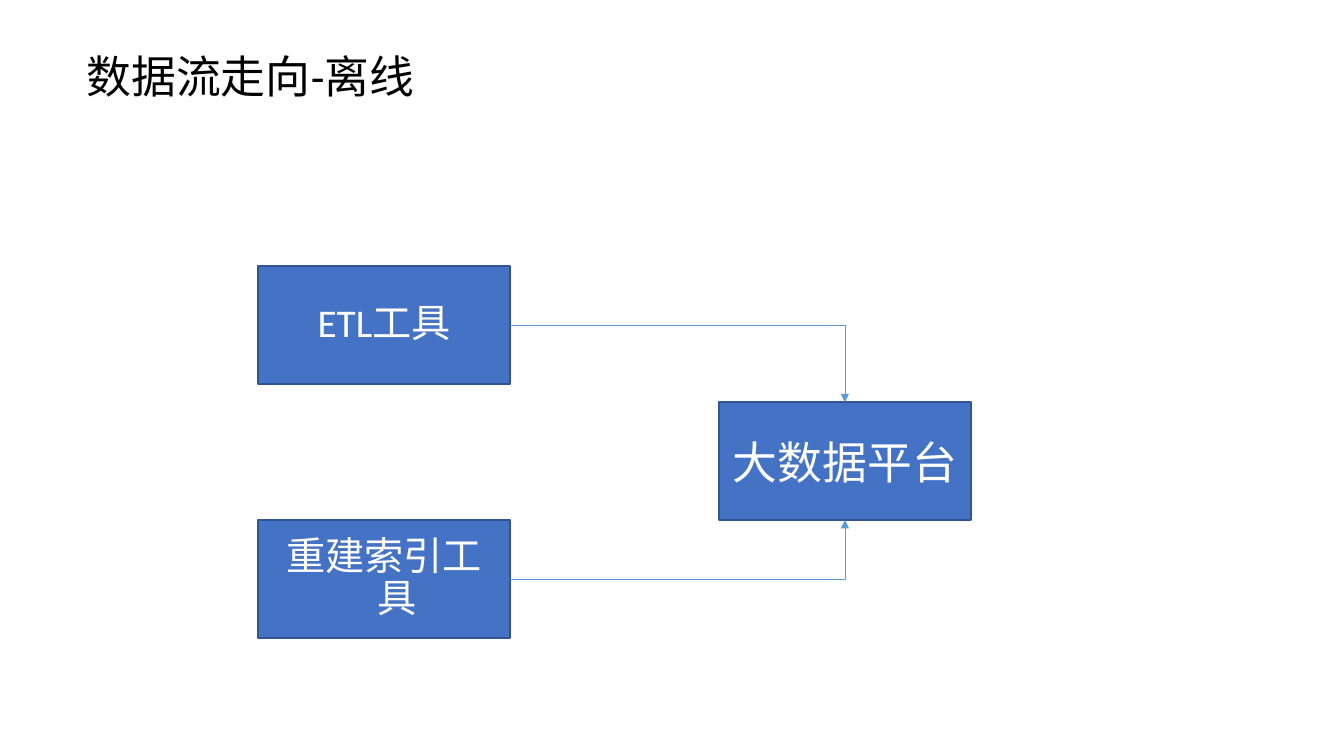
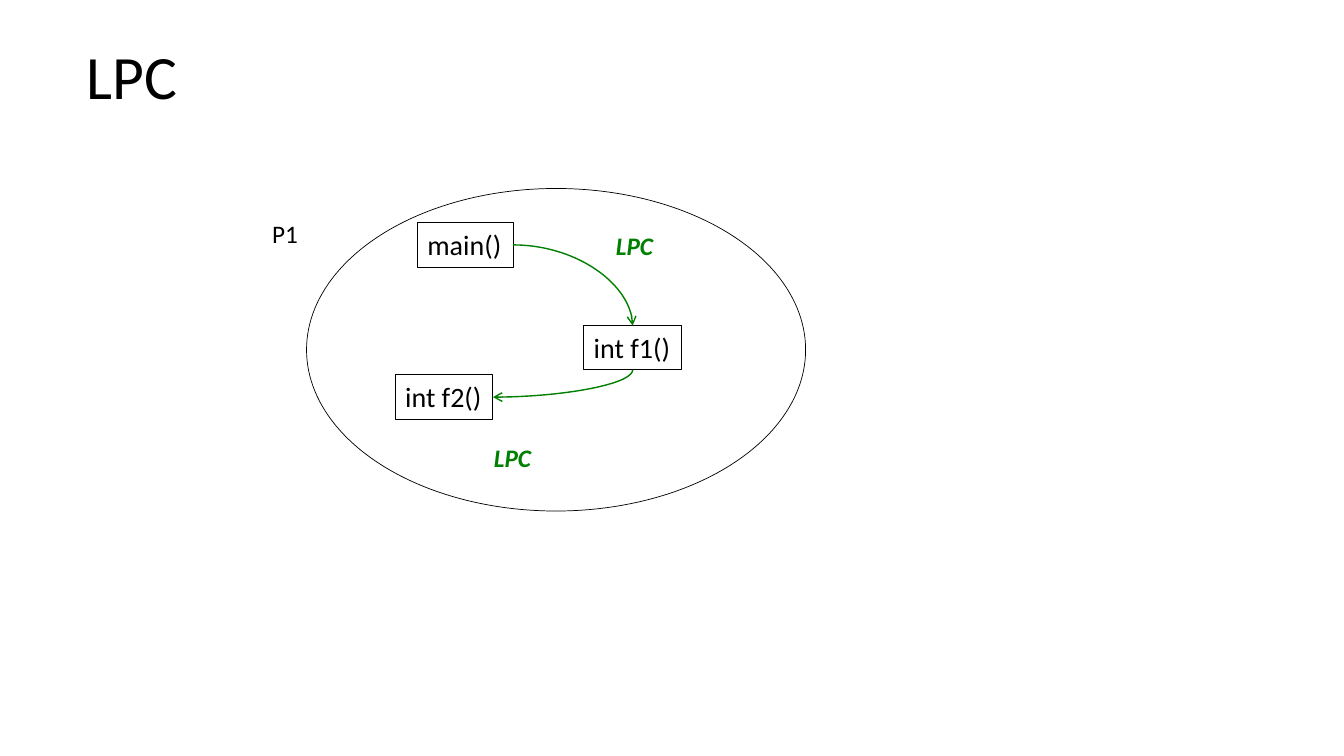
from lxml import etree
from pptx import Presentation
from pptx.dml.color import RGBColor
from pptx.enum.shapes import MSO_CONNECTOR, MSO_SHAPE
from pptx.enum.text import MSO_ANCHOR, MSO_AUTO_SIZE, PP_ALIGN
from pptx.oxml.ns import qn
from pptx.util import Inches, Pt

FONT = "Calibri"
BLACK, WHITE = "000000", "FFFFFF"
BLUE, DARK_BLUE, LIGHT_BLUE = "4472C4", "325491", "5B9BD5"
GREEN = "008000"
RIGHT, TOP, BOTTOM = 3, 0, 2


def write(shape, text, size, color=BLACK, bold=False, italic=False, align=PP_ALIGN.LEFT,
          anchor=MSO_ANCHOR.TOP, wrap=True, spacing=1.0, hanging=0):
    frame = shape.text_frame
    frame.word_wrap = wrap
    frame.auto_size = MSO_AUTO_SIZE.NONE if wrap else MSO_AUTO_SIZE.SHAPE_TO_FIT_TEXT
    frame.vertical_anchor = anchor
    paragraph = frame.paragraphs[0]
    paragraph.alignment = align
    paragraph.line_spacing = spacing
    if hanging:
        properties = paragraph._p.get_or_add_pPr()
        properties.set("marL", str(Inches(hanging)))
        properties.set("indent", str(-Inches(hanging)))
    run = paragraph.add_run()
    run.text = text
    run.font.name = FONT
    run.font.size = Pt(size)
    run.font.bold = bold
    run.font.italic = italic
    run.font.color.rgb = RGBColor.from_string(color)


def connect(shapes, kind, preset, start, start_site, end, end_site, color, width, arrowhead):
    """Join two shapes with a one-turn arrow that leaves from the right or the bottom."""
    connector = shapes.add_connector(kind, 0, 0, 0, 0)
    connector.begin_connect(start, start_site)
    connector.end_connect(end, end_site)
    properties = connector._element.spPr
    properties.find(qn("a:prstGeom")).set("prst", preset)
    if start_site == BOTTOM:
        # The preset leaves sideways, so a downward start is a quarter turn about the centre.
        left, top, across, down = connector.left, connector.top, connector.width, connector.height
        connector.left = left + (across - down) // 2
        connector.top = top + (down - across) // 2
        connector.width, connector.height = down, across
        transform = properties.find(qn("a:xfrm"))
        transform.attrib.pop("flipH", None)
        transform.set("rot", str(90 * 60000))
    connector.line.color.rgb = RGBColor.from_string(color)
    connector.line.width = Pt(width)
    etree.SubElement(properties.find(qn("a:ln")), qn("a:tailEnd"), type=arrowhead)
    etree.SubElement(properties, qn("a:effectLst"))


presentation = Presentation()
presentation.slide_width = Inches(13.33)
presentation.slide_height = Inches(7.5)

slides = []
for title, size in [("数据流走向-离线", 32), ("LPC", 44)]:
    slide = presentation.slides.add_slide(presentation.slide_layouts[6])
    title_box = slide.shapes.add_textbox(Inches(0.76), Inches(0.28), Inches(11.5), Inches(1.01))
    write(title_box, title, size, anchor=MSO_ANCHOR.MIDDLE, spacing=0.9)
    slides.append(slide)
offline_slide, call_slide = slides

# Offline data flow: two tools feed the platform
blocks = []
for text, left, top, size, spacing, hanging in [
    ("ETL工具", 2.56, 2.64, 28, 0.9, 0.25),
    ("大数据平台", 7.13, 3.99, 32, 1.0, 0.38),
    ("重建索引工具", 2.56, 5.16, 28, 0.9, 0.25),
]:
    block = offline_slide.shapes.add_shape(
        MSO_SHAPE.RECTANGLE, Inches(left), Inches(top), Inches(2.5), Inches(1.17))
    block.shadow.inherit = False
    block.fill.solid()
    block.fill.fore_color.rgb = RGBColor.from_string(BLUE)
    block.line.color.rgb = RGBColor.from_string(DARK_BLUE)
    block.line.width = Pt(1)
    write(block, text, size, color=WHITE, align=PP_ALIGN.CENTER, anchor=MSO_ANCHOR.MIDDLE,
          spacing=spacing, hanging=hanging)
    blocks.append(block)
etl_tool, platform, index_tool = blocks

for tool, site in [(etl_tool, TOP), (index_tool, BOTTOM)]:
    connect(offline_slide.shapes, MSO_CONNECTOR.ELBOW, "bentConnector2",
            tool, RIGHT, platform, site, LIGHT_BLUE, 0.5, "triangle")

# Local procedure calls inside one process
process = call_slide.shapes.add_group_shape().shapes
outlines = []
for preset, text, left, top, width, height, line_width in [
    (MSO_SHAPE.OVAL, "", 3.04, 1.87, 4.95, 3.2, 0.5),
    (MSO_SHAPE.RECTANGLE, "int f1()", 5.79, 3.23, 0.97, 0.44, 0.75),
    (MSO_SHAPE.RECTANGLE, "main()", 4.14, 2.21, 0.95, 0.44, 0.75),
    (MSO_SHAPE.RECTANGLE, "int f2()", 3.92, 3.72, 0.97, 0.44, 0.75),
]:
    outline = process.add_shape(preset, Inches(left), Inches(top), Inches(width), Inches(height))
    outline.shadow.inherit = False
    outline.fill.background()
    outline.line.color.rgb = RGBColor.from_string(BLACK)
    outline.line.width = Pt(line_width)
    if text:
        write(outline, text, 20, wrap=False)
    outlines.append(outline)
_, first_function, main_function, second_function = outlines

for caller, start_site, callee, end_site in [
    (main_function, RIGHT, first_function, TOP),
    (first_function, BOTTOM, second_function, RIGHT),
]:
    connect(process, MSO_CONNECTOR.CURVE, "curvedConnector2",
            caller, start_site, callee, end_site, GREEN, 1, "arrow")

for text, left, top, width, color, emphasis in [
    ("P1", 2.6, 2.12, 0.46, BLACK, False),
    ("LPC", 6.01, 2.24, 0.58, GREEN, True),
    ("LPC", 4.8, 4.34, 0.58, GREEN, True),
]:
    label = process.add_textbox(Inches(left), Inches(top), Inches(width), Inches(0.4))
    write(label, text, 18, color=color, bold=emphasis, italic=emphasis, wrap=False)

presentation.save("out.pptx")
